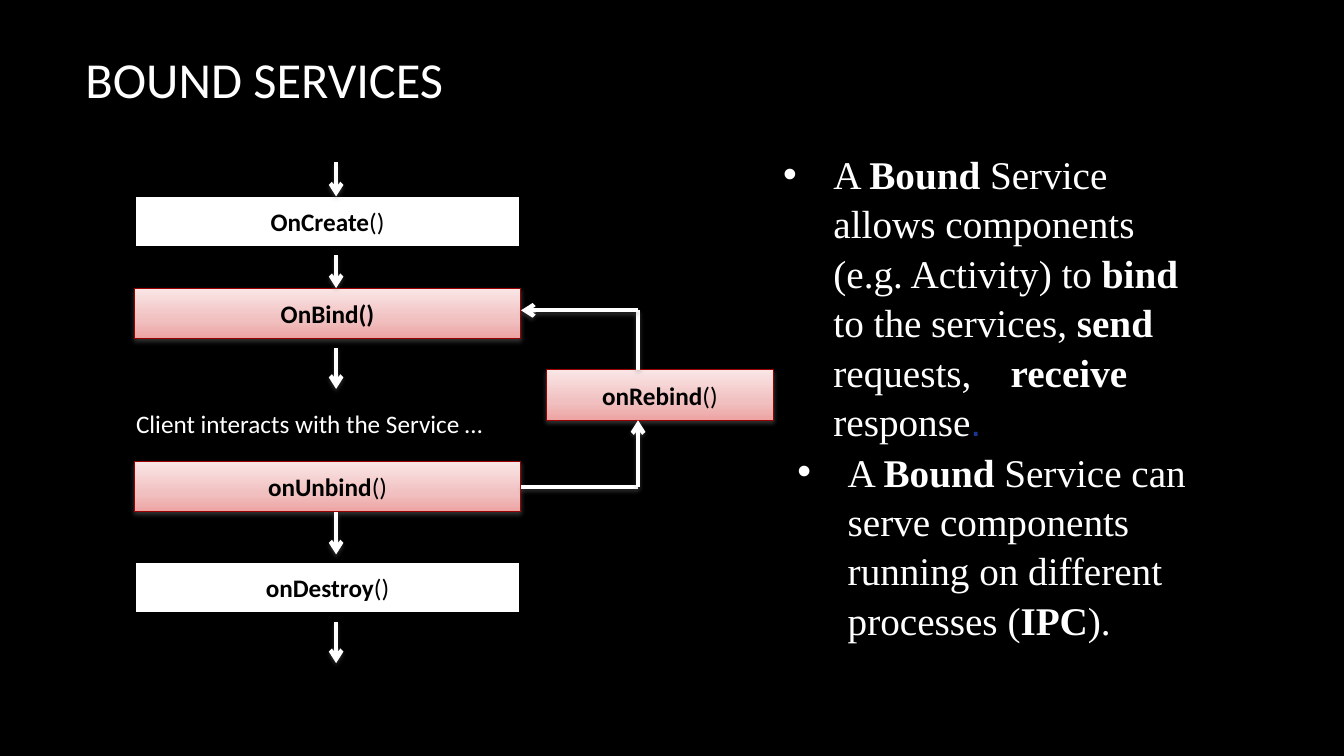
from copy import deepcopy

from lxml import etree
from pptx import Presentation
from pptx.dml.color import RGBColor
from pptx.enum.shapes import MSO_CONNECTOR, MSO_SHAPE
from pptx.enum.text import MSO_ANCHOR, MSO_AUTO_SIZE, PP_ALIGN
from pptx.oxml.ns import qn
from pptx.util import Cm, Pt

RECT = MSO_SHAPE.RECTANGLE
LINE = MSO_CONNECTOR.STRAIGHT
MID = MSO_ANCHOR.MIDDLE
LEFT, CENTER = PP_ALIGN.LEFT, PP_ALIGN.CENTER
NO_FIT = MSO_AUTO_SIZE.NONE


class Theme:
    black = RGBColor.from_string("000000")
    white = RGBColor.from_string("FFFFFF")
    blue = RGBColor.from_string("163794")
    red = RGBColor.from_string("990000")
    shade = "808080"
    pink = [(0, "FAE6E6"), (0.65, "F1BFBF"), (1, "EDA3A3")]
    sans, serif, dot = "Calibri", "Times New Roman", "Arial"
    head, body, small = Pt(36), Pt(28), Pt(18)


def write(para, text, size, color, face, bold=False):
    run = para.add_run()
    run.text = text
    font = run.font
    font.size, font.name, font.bold = size, face, bold
    font.color.rgb = color
    return run


def shadow(props, alpha, dist):
    effects = props.find(qn("a:effectLst"))
    if effects is None:
        effects = etree.SubElement(props, qn("a:effectLst"))
    outer = etree.SubElement(
        effects, qn("a:outerShdw"), blurRad=str(Pt(3.1)),
        dist=str(Pt(dist)), dir="5400000", rotWithShape="0")
    tone = etree.SubElement(outer, qn("a:srgbClr"), val=Theme.shade)
    etree.SubElement(tone, qn("a:alpha"), val=str(alpha * 1000))


# Slide
deck = Presentation()
deck.slide_width, deck.slide_height = Cm(33.87), Cm(19.05)
slide = deck.slides.add_slide(deck.slide_layouts[3])
slide.background.fill.solid()
slide.background.fill.fore_color.rgb = Theme.black
shapes = slide.shapes

# Title
title = shapes.title
title.left, title.top, title.width, title.height = Cm(1.9), Cm(0.71), Cm(28.14), Cm(2.54)
title.text_frame.vertical_anchor = MID
title.text_frame.auto_size = NO_FIT
para = title.text_frame.paragraphs[0]
para.alignment = LEFT
write(para, "BOUND SERVICES", Theme.head, Theme.white, Theme.sans)

# Life cycle boxes: left, top, width, bold part, plain part, pink or white
boxes = [
    (3.39, 4.95, 9.73, "OnCreate", "()", False),
    (3.39, 7.26, 9.73, "OnBind()", "", True),
    (3.39, 11.63, 9.73, "onUnbind", "()", True),
    (3.39, 14.17, 9.73, "onDestroy", "()", False),
    (13.77, 9.32, 5.72, "onRebind", "()", True),
]
for left, top, width, name, tail, pink in boxes:
    box = shapes.add_shape(RECT, Cm(left), Cm(top), Cm(width), Cm(1.27))
    box.shadow.inherit = False
    props = box.fill
    if pink:
        box.fill.gradient()
        box.fill.gradient_angle = 270
        stops = box.element.spPr.find(".//" + qn("a:gsLst"))
        stops.append(deepcopy(stops[0]))
        for stop, (place, tone) in zip(box.fill.gradient_stops, Theme.pink):
            stop.position = place
            stop.color.rgb = RGBColor.from_string(tone)
        shadow(box.element.spPr, 38, 1.6)
    else:
        box.fill.solid()
        box.fill.fore_color.rgb = Theme.white
    box.line.color.rgb = Theme.red if pink else Theme.black
    box.line.width = Pt(0.75 if pink else 1.5)
    box.text_frame.vertical_anchor = MID
    para = box.text_frame.paragraphs[0]
    para.alignment = CENTER
    write(para, name, Theme.small, Theme.black, Theme.sans, True)
    if tail:
        write(para, tail, Theme.small, Theme.black, Theme.sans)

# Arrows down the middle, then the loop through onRebind
mid, loop = 8.47, 16.08
falls = [(4.09, 4.95), (6.43, 7.26), (8.76, 9.8), (12.9, 13.97), (15.67, 16.71)]
lines = [(mid, start, mid, end, True) for start, end in falls] + [
    (13.13, 12.27, loop, 12.27, False),
    (loop, 12.27, loop, 10.59, True),
    (loop, 9.32, loop, 7.82, False),
    (loop, 7.82, 13.13, 7.82, True),
]
for x1, y1, x2, y2, arrow in lines:
    link = shapes.add_connector(LINE, Cm(x1), Cm(y1), Cm(x2), Cm(y2))
    link.line.color.rgb = Theme.white
    link.line.width = Pt(3)
    props = link.element.spPr
    if arrow:
        etree.SubElement(props.find(qn("a:ln")), qn("a:tailEnd"), type="arrow")
    shadow(props, 35, 1.8)

# Label between the steps
label = shapes.add_textbox(Cm(3.18), Cm(10.16), Cm(10.29), Cm(1.02))
write(label.text_frame.paragraphs[0], "Client interacts with the Service …",
      Theme.small, Theme.white, Theme.sans)

# Notes on the right: placeholder, left, top, height, runs with bold flag
notes = [
    (1, 19.48, 3.6, 7.44, [
        ("A ", False), ("Bound", True),
        (" Service allows components (e.g. Activity) to ", False),
        ("bind", True), (" to the services, ", False), ("send", True),
        (" requests,", False), (" ", False), ("receive ", True),
        ("response", False), (".", False)]),
    (2, 19.84, 11.1, 5.05, [
        ("A ", False), ("Bound", True),
        (" Service can serve components running on different processes (", False),
        ("IPC", True), (").", False)]),
]
for index, left, top, height, runs in notes:
    note = slide.placeholders[index]
    note.left, note.top, note.width, note.height = Cm(left), Cm(top), Cm(11), Cm(height)
    note.text_frame.auto_size = NO_FIT
    para = note.text_frame.paragraphs[0]
    para.space_before = Pt(0)
    para.line_spacing = 1.05
    indent = para._p.get_or_add_pPr()
    indent.set("marL", str(Cm(1.27)))
    indent.set("indent", str(-Cm(1.27)))
    for text, bold in runs:
        stop = text == "."
        run = write(para, text, Theme.body, Theme.blue if stop else Theme.white,
                    Theme.dot if stop else Theme.serif, bold)
        if text == " ":  # wide gap by letter spacing
            run.font._element.set("spc", "2100")

deck.save("out.pptx")
